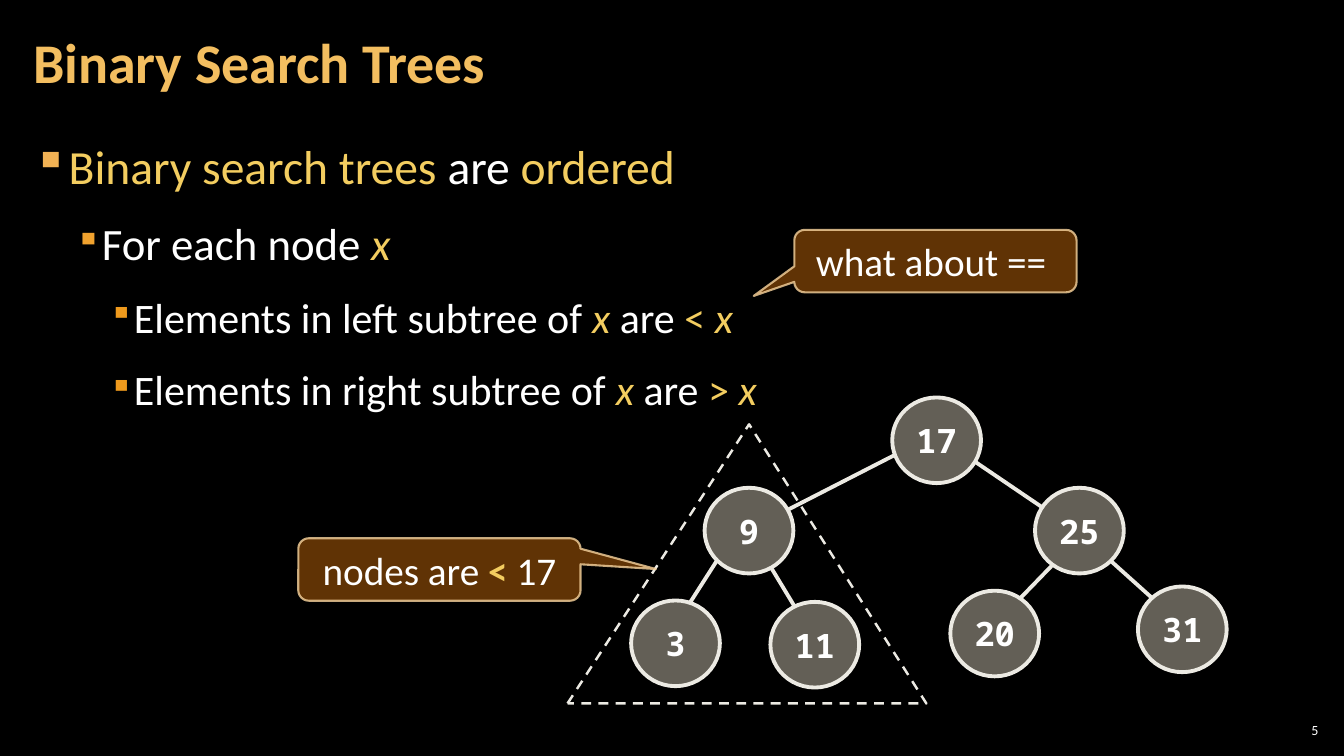
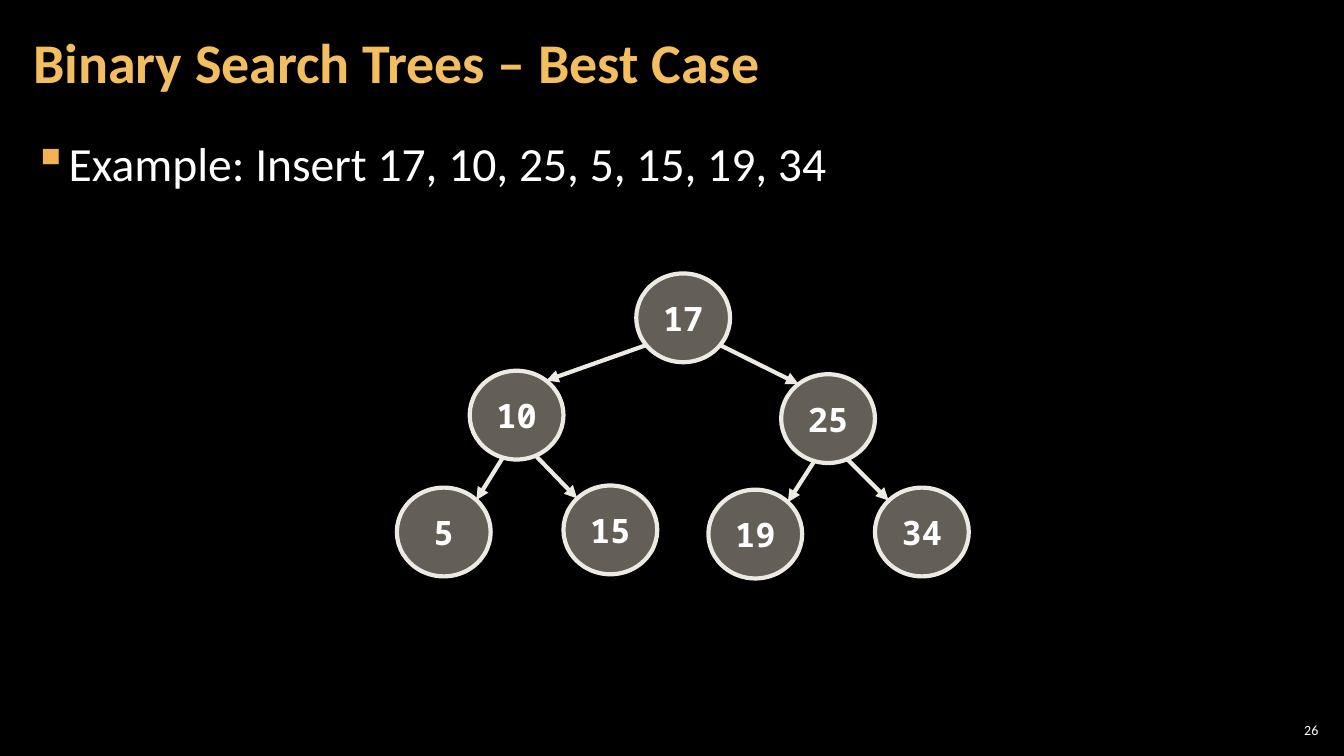
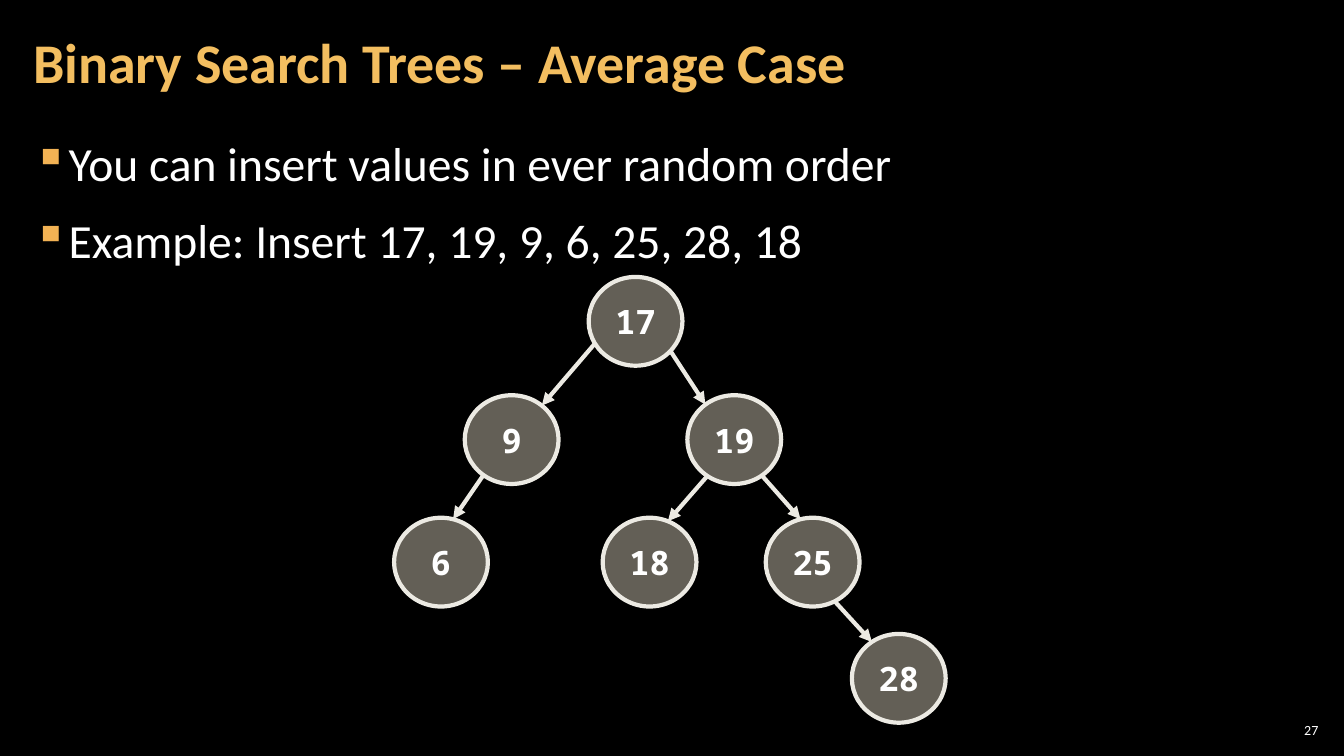
from math import cos, radians, sin

from lxml.etree import SubElement
from pptx import Presentation
from pptx.dml.color import RGBColor
from pptx.enum.dml import MSO_LINE
from pptx.enum.shapes import MSO_CONNECTOR, MSO_SHAPE
from pptx.enum.text import MSO_ANCHOR, MSO_AUTO_SIZE, PP_ALIGN
from pptx.oxml.ns import qn
from pptx.util import Pt

BACKGROUND = "000000"
WHITE = "FFFFFF"
GOLD = "F3CD60"
TITLE_COLOR = "F3BE60"
NODE_FILL = "C7BFAC"
NODE_LINE = "ECEAE3"
CALLOUT_FILL = "663606"
CALLOUT_LINE = "F8D49E"
TEXT_FONT = "Calibri"
NODE_FONT = "Noto Sans Mono"

TITLE_BOX = (15.1, 2.9, 753.8, 87.1)
BODY_BOX = (15.1, 90.7, 929.5, 438.5)
NUMBER_BOX = (910.8, 514.1, 33.8, 15.1)

# level: left margin, hanging indent, text size, bullet colour, bullet percent
LEVELS = [
    (24, 24, 34, "F2B254", 100),
    (48, 18, 32, "F0A22E", 80),
    (72, 18, 30, "EF9A1D", 80),
]

# run styles: colour, bold, italic
STYLES = {
    "plain": (WHITE, False, False),
    "gold": (GOLD, False, False),
    "variable": (GOLD, False, True),
    "strong": (GOLD, True, False),
}

SLIDES = [
    {
        "title": "Binary Search Trees",
        "number": "5",
        "line_spacing": 1.1,
        "body": [
            (0, [("Binary search trees ", "gold"), ("are ", "plain"), ("ordered", "gold")]),
            (1, [("For each node ", "plain"), ("x", "variable")]),
            (2, [("Elements in left subtree of ", "plain"), ("x", "variable"),
                 (" are ", "plain"), ("< ", "gold"), ("x", "variable")]),
            (2, [("Elements in right subtree of ", "plain"), ("x", "variable"),
                 (" are ", "plain"), ("> ", "gold"), ("x", "variable")]),
        ],
        "node_size": (63.4, 61.2),
        "line_width": 2.75,
        "arrows": False,
        "nodes": {17: (669, 314.5), 9: (535, 379), 25: (771, 379), 3: (482.5, 459.5),
                  11: (582, 460.5), 20: (710.5, 452.5), 31: (844.5, 449.5)},
        "edges": [(17, 9, 160, 331), (17, 25, 30, 213), (9, 3, 136, 289),
                  (9, 11, 60, 243), (25, 20, 127, 305), (25, 31, 45, 227)],
        "subtree": (405.4, 303.1, 256.3, 199.4),
        "callouts": [
            ((213.1, 384.5, 201.6, 44.6), (0.767, -0.007, 0.167),
             [("nodes are ", "plain"), ("<", "strong"), (" 17", "plain")]),
            ((567.4, 164.2, 201.6, 44.6), (-0.644, 0.558, 0.167),
             [("what about == ", "plain")]),
        ],
    },
    {
        "title": "Binary Search Trees – Best Case",
        "number": "26",
        "line_spacing": 1.05,
        "body": [(0, [("Example: Insert 17, 10, 25, 5, 15, 19, 34", "plain")])],
        "node_size": (67, 63.4),
        "line_width": 3,
        "arrows": True,
        "nodes": {17: (488, 227), 10: (369, 296.5), 25: (591.5, 299), 5: (317, 380),
                  15: (436, 378.5), 19: (539.5, 381.5), 34: (658.5, 380)},
        "edges": [(17, 10, 142, 309), (17, 25, 38, 231), (10, 5, 107, 314),
                  (10, 15, 66, 225), (25, 19, 107, 314), (25, 34, 66, 225)],
    },
    {
        "title": "Binary Search Trees – Average Case",
        "number": "27",
        "line_spacing": 1.05,
        "body": [
            (0, [("You can insert values in ever random order", "plain")]),
            (0, [("Example: Insert 17, 19, 9, 6, 25, 28, 18", "plain")]),
        ],
        "node_size": (67, 63.4),
        "line_width": 3,
        "arrows": True,
        "nodes": {17: (454, 229.5), 9: (365.5, 314), 19: (524.5, 314), 6: (315, 401.5),
                  18: (464, 401.5), 25: (580.5, 401.5), 28: (642, 484.5)},
        "edges": [(17, 9, 150, 310), (17, 19, 42, 232), (9, 6, 127, 285),
                  (19, 18, 125, 293), (19, 25, 54, 255), (25, 28, 62, 235)],
    },
]


def color(value):
    return RGBColor.from_string(value)


def points(values):
    return [Pt(value) for value in values]


def set_font(font, size, value, name=TEXT_FONT, bold=False):
    font.name, font.size, font.bold = name, Pt(size), bold
    font.color.rgb = color(value)


def set_frame(frame, horizontal, vertical, anchor):
    frame.word_wrap = True
    frame.auto_size = MSO_AUTO_SIZE.NONE
    frame.vertical_anchor = anchor
    frame.margin_left = frame.margin_right = Pt(horizontal)
    frame.margin_top = frame.margin_bottom = Pt(vertical)


def add_runs(paragraph, runs):
    for text, style in runs:
        run = paragraph.add_run()
        run.text = text
        value, run.font.bold, run.font.italic = STYLES[style]
        run.font.color.rgb = color(value)


def set_opacity(fill_element, percent):
    for color_element in fill_element.iter(qn("a:srgbClr")):
        SubElement(color_element, qn("a:alpha"), val=str(percent * 1000))


def add_bullet(paragraph, left, hanging, value, percent):
    properties = paragraph._p.get_or_add_pPr()
    properties.set("marL", str(Pt(left)))
    properties.set("indent", str(-Pt(hanging)))
    bullet_color = SubElement(properties, qn("a:buClr"))
    SubElement(bullet_color, qn("a:srgbClr"), val=value)
    SubElement(properties, qn("a:buSzPct"), val=str(percent * 1000))
    SubElement(properties, qn("a:buChar"), char="▪")


def add_title(slide, text):
    title = slide.shapes.title
    title.left, title.top, title.width, title.height = points(TITLE_BOX)
    set_frame(title.text_frame, 8.6, 2.9, MSO_ANCHOR.MIDDLE)
    title.text_frame.text = text
    paragraph = title.text_frame.paragraphs[0]
    paragraph.alignment = PP_ALIGN.LEFT
    paragraph.line_spacing = 0.9
    set_font(paragraph.font, 40, TITLE_COLOR, bold=True)


def add_number(slide, text):
    frame = slide.shapes.add_textbox(*points(NUMBER_BOX)).text_frame
    set_frame(frame, 2.9, 2.9, MSO_ANCHOR.MIDDLE)
    frame.text = text
    paragraph = frame.paragraphs[0]
    paragraph.alignment = PP_ALIGN.RIGHT
    set_font(paragraph.font, 10, WHITE)


def add_body(slide, items, line_spacing):
    frame = slide.shapes.add_textbox(*points(BODY_BOX)).text_frame
    set_frame(frame, 8.6, 2.9, MSO_ANCHOR.TOP)
    for index, (level, runs) in enumerate(items):
        paragraph = frame.add_paragraph() if index else frame.paragraphs[0]
        left, hanging, size, bullet_color, percent = LEVELS[level]
        paragraph.level = level
        paragraph.line_spacing = line_spacing
        paragraph.space_before = paragraph.space_after = Pt(6)
        add_bullet(paragraph, left, hanging, bullet_color, percent)
        set_font(paragraph.font, size, WHITE)
        add_runs(paragraph, runs)


def add_outlined_shape(slide, kind, box, line_color, line_width):
    shape = slide.shapes.add_shape(kind, *points(box))
    shape.shadow.inherit = False
    shape.line.color.rgb = color(line_color)
    shape.line.width = Pt(line_width)
    return shape


def fill_shape(shape, value, opacity):
    shape.fill.solid()
    shape.fill.fore_color.rgb = color(value)
    set_opacity(shape.element.spPr.find(qn("a:solidFill")), opacity)


def add_node(slide, key, center, size, line_width):
    box = (center[0] - size[0] / 2, center[1] - size[1] / 2, *size)
    node = add_outlined_shape(slide, MSO_SHAPE.OVAL, box, NODE_LINE, line_width)
    fill_shape(node, NODE_FILL, 50)
    frame = node.text_frame
    frame.word_wrap = False
    frame.vertical_anchor = MSO_ANCHOR.MIDDLE
    frame.text = str(key)
    paragraph = frame.paragraphs[0]
    paragraph.alignment = PP_ALIGN.CENTER
    set_font(paragraph.font, 24, WHITE, NODE_FONT, True)


def rim_point(center, size, degrees):
    angle = radians(degrees)
    return (center[0] + size[0] / 2 * cos(angle), center[1] + size[1] / 2 * sin(angle))


def add_edge(slide, start, end, line_width, arrow):
    edge = slide.shapes.add_connector(MSO_CONNECTOR.STRAIGHT, *points(start + end))
    edge.line.color.rgb = color(NODE_LINE)
    edge.line.width = Pt(line_width)
    if arrow:
        SubElement(edge.line._get_or_add_ln(), qn("a:tailEnd"), type="triangle")
    SubElement(edge.element.spPr, qn("a:effectLst"))


def add_tree(slide, content):
    nodes, size, width = content["nodes"], content["node_size"], content["line_width"]
    for key, center in nodes.items():
        add_node(slide, key, center, size, width)
    for parent, child, start_angle, end_angle in content["edges"]:
        start = rim_point(nodes[parent], size, start_angle)
        end = rim_point(nodes[child], size, end_angle)
        add_edge(slide, start, end, width, content["arrows"])


def add_subtree_outline(slide, box):
    outline = add_outlined_shape(slide, MSO_SHAPE.ISOSCELES_TRIANGLE, box, NODE_LINE, 1.75)
    outline.adjustments[0] = 0.506
    outline.fill.background()
    outline.line.dash_style = MSO_LINE.DASH


def add_callout(slide, box, adjustments, runs):
    callout = add_outlined_shape(
        slide, MSO_SHAPE.ROUNDED_RECTANGULAR_CALLOUT, box, CALLOUT_LINE, 1.5)
    for index, value in enumerate(adjustments):
        callout.adjustments[index] = value
    fill_shape(callout, CALLOUT_FILL, 95)
    set_opacity(callout.element.spPr.find(qn("a:ln")), 80)
    callout.text_frame.word_wrap = True
    callout.text_frame.vertical_anchor = MSO_ANCHOR.MIDDLE
    paragraph = callout.text_frame.paragraphs[0]
    paragraph.alignment = PP_ALIGN.CENTER
    set_font(paragraph.font, 28, WHITE)
    add_runs(paragraph, runs)


presentation = Presentation()
presentation.slide_width, presentation.slide_height = Pt(960), Pt(540)
master_fill = presentation.slide_master.background.fill
master_fill.solid()
master_fill.fore_color.rgb = color(BACKGROUND)

for content in SLIDES:
    slide = presentation.slides.add_slide(presentation.slide_layouts[5])
    add_title(slide, content["title"])
    add_number(slide, content["number"])
    add_body(slide, content["body"], content["line_spacing"])
    add_tree(slide, content)
    if "subtree" in content:
        add_subtree_outline(slide, content["subtree"])
    for box, adjustments, runs in content.get("callouts", []):
        add_callout(slide, box, adjustments, runs)

presentation.save("out.pptx")
